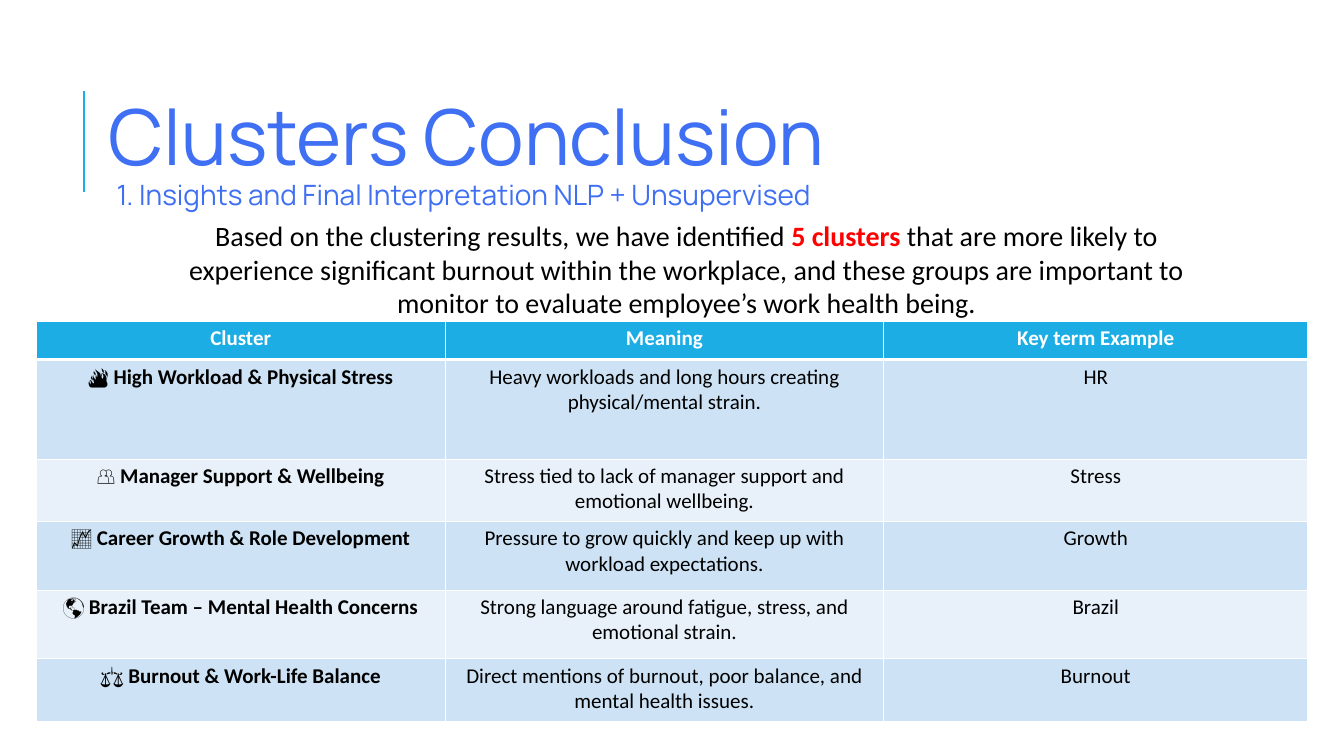
"""Build the slide that sums up the burnout clusters."""
from dataclasses import dataclass

from lxml.etree import SubElement
from pptx import Presentation
from pptx.dml.color import RGBColor
from pptx.enum.shapes import MSO_CONNECTOR
from pptx.enum.text import MSO_AUTO_SIZE, PP_ALIGN
from pptx.oxml.ns import qn
from pptx.util import Pt

WHITE = RGBColor(0xFF, 0xFF, 0xFF)
BLACK = RGBColor(0x00, 0x00, 0x00)
RED = RGBColor(0xFF, 0x00, 0x00)
BLUE = RGBColor(0x3F, 0x6F, 0xF3)
CYAN = RGBColor(0x1C, 0xAD, 0xE4)
BAND_DARK = RGBColor(0xCD, 0xE3, 0xF5)
BAND_LIGHT = RGBColor(0xE8, 0xF1, 0xFA)
HEADING_FONT = "Manrope"
BODY_FONT = "Calibri"


@dataclass(frozen=True)
class Run:
    text: str
    color: RGBColor = BLACK
    bold: bool = False


@dataclass(frozen=True)
class TextBox:
    left: float
    top: float
    width: float
    height: float
    runs: tuple[Run, ...]
    size: float
    font: str
    spacing: float | None = None
    align: PP_ALIGN = PP_ALIGN.LEFT
    inset: bool = True


@dataclass(frozen=True)
class Cluster:
    icon: str
    name: str
    meaning: str
    term: str
    height: float


TEXT_BOXES = (
    TextBox(92.9, 78.5, 630, 77, (Run("Clusters Conclusion", BLUE),), 66,
            HEADING_FONT, spacing=77, inset=False),
    TextBox(92.9, 144, 635.8, 38.2,
            (Run("1. Insights and Final Interpretation NLP + Unsupervised", BLUE),),
            24, HEADING_FONT, spacing=33),
    TextBox(135.4, 183.8, 905.8, 298,
            (Run("Based on the clustering results, we have identified "),
             Run("5 clusters", RED, True),
             Run(" that are more likely to experience significant burnout within "
                 "the workplace, and these groups are important to monitor to "
                 "evaluate employee’s work health being.")),
            24, BODY_FONT, align=PP_ALIGN.CENTER),
)

HEADERS = ("Cluster", "Meaning", "Key term Example")
COLUMN_WIDTHS = (350.6, 375.8, 363.6)
HEADER_HEIGHT = 33.1
CLUSTERS = (
    Cluster("🔥", "High Workload & Physical Stress",
            "Heavy workloads and long hours creating physical/mental strain.",
            "HR", 85),
    Cluster("👥", "Manager Support & Wellbeing",
            "Stress tied to lack of manager support and emotional wellbeing.",
            "Stress", 53.3),
    Cluster("📈", "Career Growth & Role Development",
            "Pressure to grow quickly and keep up with workload expectations.",
            "Growth", 59),
    Cluster("🌎", "Brazil Team – Mental Health Concerns",
            "Strong language around fatigue, stress, and emotional strain.",
            "Brazil", 59),
    Cluster("⚖️", "Burnout & Work-Life Balance",
            "Direct mentions of burnout, poor balance, and mental health issues.",
            "Burnout", 53.3),
)


def add_runs(p, runs: tuple[Run, ...], size: float, font: str) -> None:
    for run in runs:
        r = p.add_run()
        r.text = run.text
        r.font.size = Pt(size)
        r.font.name = font
        r.font.bold = run.bold
        r.font.color.rgb = run.color


def add_text_box(s, box: TextBox) -> None:
    sp = s.shapes.add_textbox(Pt(box.left), Pt(box.top), Pt(box.width), Pt(box.height))
    tf = sp.text_frame
    tf.word_wrap = True
    if box.inset:
        tf.auto_size = MSO_AUTO_SIZE.SHAPE_TO_FIT_TEXT
    else:
        tf.margin_left = tf.margin_top = tf.margin_right = tf.margin_bottom = Pt(0)
    p = tf.paragraphs[0]
    p.alignment = box.align
    if box.spacing:
        p.line_spacing = Pt(box.spacing)
    add_runs(p, box.runs, box.size, box.font)


def add_accent_line(s) -> None:
    line = s.shapes.add_connector(MSO_CONNECTOR.STRAIGHT, Pt(72), Pt(164.2), Pt(72), Pt(78))
    line.line.color.rgb = CYAN
    line.line.width = Pt(1.5)
    SubElement(line._element.spPr, qn("a:effectLst"))


def fill_cell(cell, runs: tuple[Run, ...], fill: RGBColor, bottom: float = 1) -> None:
    tc_pr = cell._tc.get_or_add_tcPr()
    for side, width in (("L", 1), ("R", 1), ("T", 1), ("B", bottom)):
        ln = SubElement(tc_pr, qn(f"a:ln{side}"), w=str(Pt(width)))
        SubElement(SubElement(ln, qn("a:solidFill")), qn("a:srgbClr"), val=str(WHITE))
    cell.fill.solid()
    cell.fill.fore_color.rgb = fill
    p = cell.text_frame.paragraphs[0]
    p.alignment = PP_ALIGN.CENTER
    add_runs(p, runs, 18, BODY_FONT)


def add_cluster_table(s) -> None:
    heights = (HEADER_HEIGHT, *(cluster.height for cluster in CLUSTERS))
    table = s.shapes.add_table(len(heights), len(HEADERS), Pt(31), Pt(275.4),
                               Pt(sum(COLUMN_WIDTHS)), Pt(sum(heights))).table
    table.horz_banding = False
    for column, width in zip(table.columns, COLUMN_WIDTHS):
        column.width = Pt(width)
    for row, height in zip(table.rows, heights):
        row.height = Pt(height)
    for col, header in enumerate(HEADERS):
        fill_cell(table.cell(0, col), (Run(header, WHITE, True),), CYAN, bottom=3)
    for row, cluster in enumerate(CLUSTERS, start=1):
        fill = BAND_DARK if row % 2 else BAND_LIGHT
        contents = ((Run(f"{cluster.icon} "), Run(cluster.name, bold=True)),
                    (Run(cluster.meaning),), (Run(cluster.term),))
        for col, runs in enumerate(contents):
            fill_cell(table.cell(row, col), runs, fill)


def main() -> None:
    prs = Presentation()
    prs.slide_width, prs.slide_height = Pt(1152), Pt(648)
    s = prs.slides.add_slide(prs.slide_layouts[6])
    add_accent_line(s)
    for box in TEXT_BOXES:
        add_text_box(s, box)
    add_cluster_table(s)
    prs.save("out.pptx")


if __name__ == "__main__":
    main()
